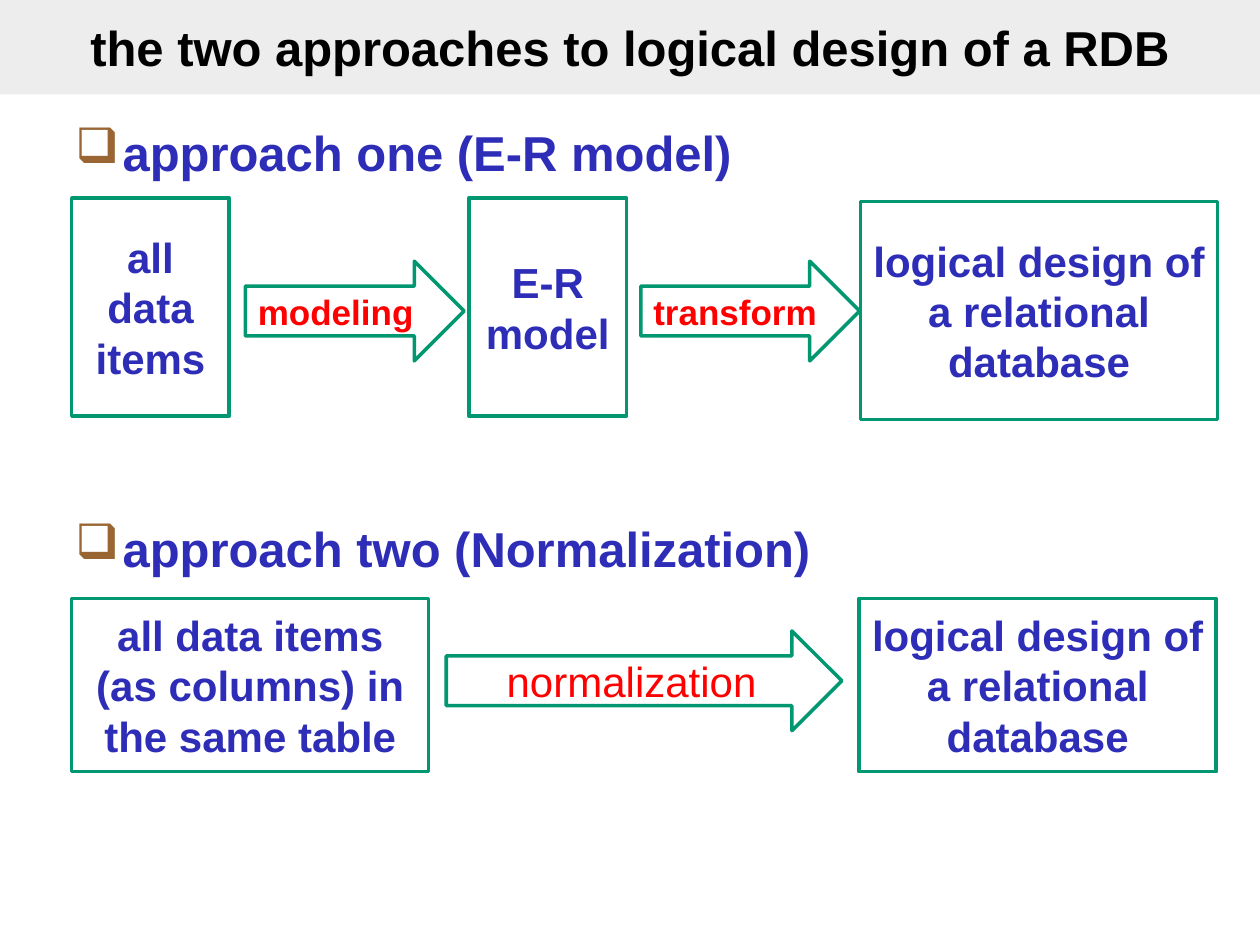
import pptx
import pptx.util
import pptx.dml.color
import pptx.enum.shapes
import pptx.enum.text
import pptx.oxml
import pptx.oxml.ns
from lxml import etree

Pt = pptx.util.Pt
KINDS = pptx.enum.shapes.MSO_SHAPE
ALIGN = pptx.enum.text.PP_ALIGN
ANCHOR = pptx.enum.text.MSO_ANCHOR

THEME = {
    "font": "Arial", "band": "DDDDDD", "title": "000000", "text": "2D2DB7",
    "line": "009771", "step": "FF0000", "mark": "996633",
    "head": 28, "body": 24, "small": 20, "width": 2,
}

# Content: boxes are (text, left, top, width, height);
# arrows are (text, left, top, width, size, bold, align)
TITLE = "the two approaches to logical design of a RDB"
GOAL = "logical design of a relational database"
PLANS = [
    {
        "head": ("approach two (Normalization)", 292.5),
        "boxes": [
            ("all data items (as columns) in the same table", 41, 342, 204, 99),
            (GOAL, 491, 342, 204, 99),
        ],
        "arrows": [("normalization", 255, 360.5, 226, "body", False, ALIGN.CENTER)],
    },
    {
        "head": ("approach one (E-R model)", 66.5),
        "boxes": [
            ("all data items", 41, 113.25, 90, 124.5),
            ("E-R\nmodel", 268, 113.25, 90, 124.5),
            (GOAL, 491.75, 115.25, 204, 124.5),
        ],
        "arrows": [
            ("modeling", 140.25, 149.25, 125, "small", True, ALIGN.LEFT),
            ("transform", 366.25, 149.25, 125, "small", True, ALIGN.LEFT),
        ],
    },
]
ARROW_TALL = 57
HEAD_LEFT, HEAD_WIDE, HEAD_TALL, INDENT = 36, 648, 41, 27


def tint(name):
    return pptx.dml.color.RGBColor.from_string(THEME[name])


def write(shape, text, size, color, bold=True, align=ALIGN.CENTER):
    frame = shape.text_frame
    frame.word_wrap = True
    frame.text = text
    for para in frame.paragraphs:
        para.alignment = align
        for run in para.runs:
            run.font.name = THEME["font"]
            run.font.size = Pt(THEME[size])
            run.font.bold = bold
            run.font.color.rgb = tint(color)


def draw(shapes, kind, left, top, wide, tall):
    shape = shapes.add_shape(kind, Pt(left), Pt(top), Pt(wide), Pt(tall))
    shape.shadow.inherit = False
    shape.fill.background()
    shape.line.color.rgb = tint("line")
    shape.line.width = Pt(THEME["width"])
    shape.text_frame.vertical_anchor = ANCHOR.MIDDLE
    return shape


def add_head(shapes, text, top):
    box = shapes.add_textbox(Pt(HEAD_LEFT), Pt(top), Pt(HEAD_WIDE), Pt(HEAD_TALL))
    write(box, text, "head", "text", align=ALIGN.LEFT)
    props = box.text_frame.paragraphs[0]._p.get_or_add_pPr()
    props.set("marL", str(Pt(INDENT)))
    props.set("indent", str(-Pt(INDENT)))
    qn = pptx.oxml.ns.qn
    color = etree.SubElement(props, qn("a:buClr"))
    etree.SubElement(color, qn("a:srgbClr"), val=THEME["mark"])
    etree.SubElement(props, qn("a:buChar"), char="❑")


def main():
    deck = pptx.Presentation()
    deck.slide_width, deck.slide_height = Pt(720), Pt(540)
    slide = deck.slides.add_slide(deck.slide_layouts[6])

    # Title band, half transparent
    band = draw(slide.shapes, KINDS.RECTANGLE, 0, 0, 720, 54)
    band.line.fill.background()
    band.fill.solid()
    band.fill.fore_color.rgb = tint("band")
    color = band._element.spPr.find(".//" + pptx.oxml.ns.qn("a:srgbClr"))
    etree.SubElement(color, pptx.oxml.ns.qn("a:alpha"), val="50000")
    write(band, TITLE, "head", "title")

    # One heading and one grouped flow per approach
    for plan in PLANS:
        add_head(slide.shapes, *plan["head"])
        flow = slide.shapes.add_group_shape().shapes
        for text, *place in plan["boxes"]:
            write(draw(flow, KINDS.RECTANGLE, *place), text, "body", "text")
        for text, left, top, wide, size, bold, align in plan["arrows"]:
            arrow = draw(flow, KINDS.RIGHT_ARROW, left, top, wide, ARROW_TALL)
            write(arrow, text, size, "step", bold, align)

    deck.save("out.pptx")


if __name__ == "__main__":
    main()
